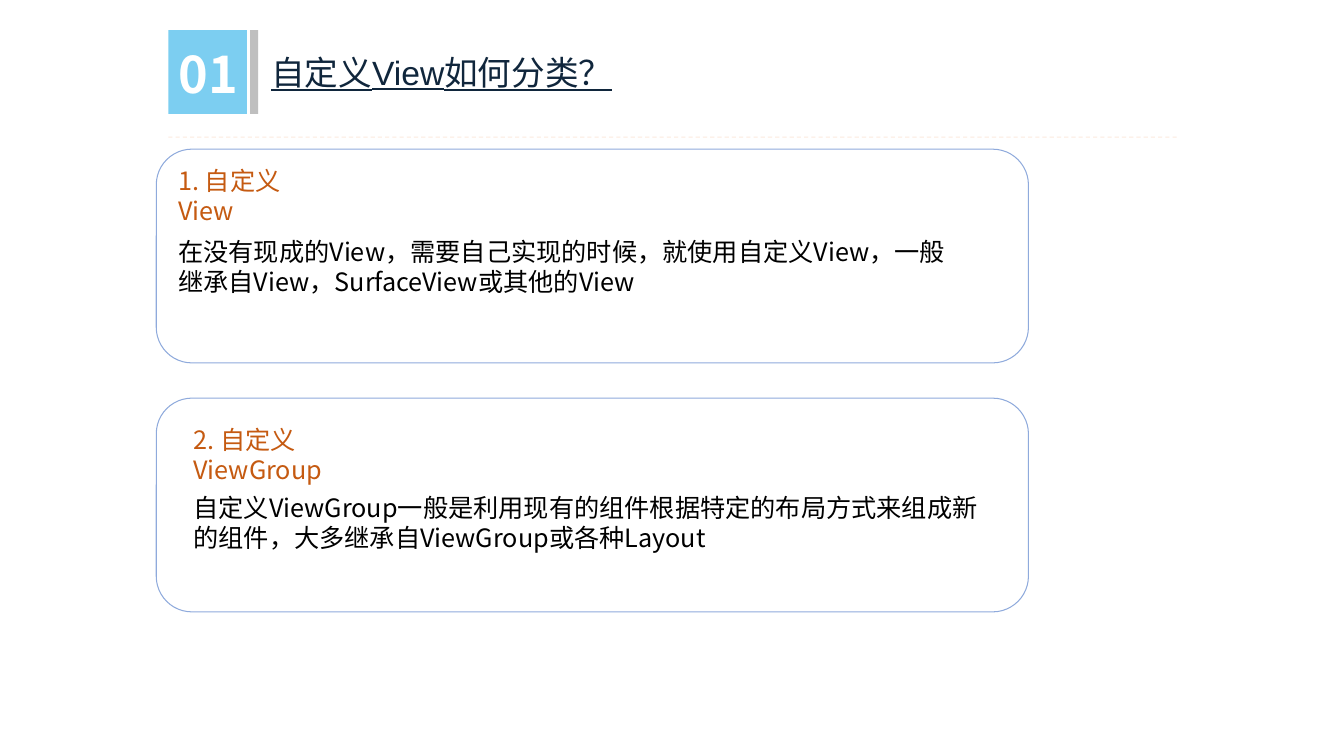
from lxml import etree
from pptx import Presentation
from pptx.dml.color import RGBColor
from pptx.enum.dml import MSO_LINE
from pptx.enum.shapes import MSO_CONNECTOR, MSO_SHAPE
from pptx.enum.text import MSO_ANCHOR, PP_ALIGN
from pptx.oxml.ns import qn
from pptx.util import Inches, Pt

RECT, ROUND_RECT = MSO_SHAPE.RECTANGLE, MSO_SHAPE.ROUNDED_RECTANGLE
STRAIGHT, DASH = MSO_CONNECTOR.STRAIGHT, MSO_LINE.DASH
TOP, LEFT = MSO_ANCHOR.TOP, PP_ALIGN.LEFT
SKY = RGBColor(0x7C, 0xCE, 0xF1)
GREY = RGBColor(0xBF, 0xBF, 0xBF)
WHITE = RGBColor(0xFF, 0xFF, 0xFF)
NAVY = RGBColor(0x10, 0x26, 0x3C)
PEACH = RGBColor(0xF8, 0xCB, 0xAD)
RUST = RGBColor(0xC5, 0x5A, 0x11)
BLACK = RGBColor(0, 0, 0)
BLUE = RGBColor(0x8F, 0xAA, 0xDC)
CJK = "Noto Sans CJK SC"

CARDS = [
    (1.48, 0.12, 0.11, 0.81, 1.72, 8.05, "1. 自定义View",
     "在没有现成的View，需要自己实现的时候，就使用自定义View，一般继承自View，SurfaceView或其他的View"),
    (3.95, 0.27, 0.21, 0.88, 2.4, 8.11, "2. 自定义ViewGroup",
     "自定义ViewGroup一般是利用现有的组件根据特定的布局方式来组成新的组件，大多继承自ViewGroup或各种Layout"),
]


def put_text(sp, text, size=18, color=BLACK, font=CJK, bold=False,
             underline=False, spacing=None):
    tf = sp.text_frame
    tf.word_wrap = True
    tf.vertical_anchor = TOP
    p = tf.paragraphs[0]
    p.alignment = LEFT
    p.line_spacing = spacing
    r = p.add_run()
    r.text = text
    r.font.size = Pt(size)
    r.font.name = font
    r.font.bold = bold
    r.font.underline = underline
    r.font.color.rgb = color
    etree.SubElement(r.font._element, qn("a:ea"), typeface=CJK)


def add_text(s, x, y, w, h, text, **fmt):
    sp = s.shapes.add_textbox(Inches(x), Inches(y), Inches(w), Inches(h))
    put_text(sp, text, **fmt)


def add_box(s, kind, x, y, w, h, fill=None, line=None):
    sp = s.shapes.add_shape(kind, Inches(x), Inches(y), Inches(w), Inches(h))
    sp.shadow.inherit = False
    if fill is None:
        sp.fill.background()
    else:
        sp.fill.solid()
        sp.fill.fore_color.rgb = fill
    if line is None:
        sp.line.fill.background()
    else:
        sp.line.color.rgb = line
        sp.line.width = Pt(0.75)


def add_header(s, x, y, w):
    add_box(s, RECT, x, y, 0.78, 0.83, fill=SKY)
    add_box(s, RECT, x + 0.81, y, 0.08, 0.83, fill=GREY)
    add_text(s, x, y + 0.08, 0.89, 0.7, "01", size=36, color=WHITE,
             bold=True, spacing=Pt(43))
    title = s.shapes.title
    title.left, title.top = Inches(x + 0.92), Inches(y + 0.16)
    title.width, title.height = Inches(6.04), Inches(0.5)
    put_text(title, "自定义View如何分类？", size=24, color=NAVY,
             font="Arial", underline=True, spacing=1.0)
    rule_y = Inches(y + 1.06)
    rule = s.shapes.add_connector(STRAIGHT, Inches(x), rule_y,
                                  Inches(x + w), rule_y)
    rule.line.color.rgb = PEACH
    rule.line.width = Pt(0.75)
    rule.line.dash_style = DASH
    color = rule.line._ln.find(".//" + qn("a:srgbClr"))
    etree.SubElement(color, qn("a:alpha"), val="40000")
    etree.SubElement(rule._element.spPr, qn("a:effectLst"))


def add_card(s, x, y, w, h, inset, head_dy, body_dy, head_w, body_w,
             head, body):
    add_text(s, x + inset, y + head_dy, head_w, 0.4, head, color=RUST,
             spacing=Pt(21.6))
    add_text(s, x + inset, y + body_dy, body_w, 0.71, body,
             spacing=Pt(21.6))
    add_box(s, ROUND_RECT, x, y, w, h, line=BLUE)


def main():
    prs = Presentation()
    prs.slide_width, prs.slide_height = Inches(13.33), Inches(7.5)
    s = prs.slides.add_slide(prs.slide_layouts[5])
    add_header(s, 1.67, 0.3, 10)
    for y, *card in CARDS:
        add_card(s, 1.55, y, 8.65, 2.12, *card)
    prs.save("out.pptx")


if __name__ == "__main__":
    main()
